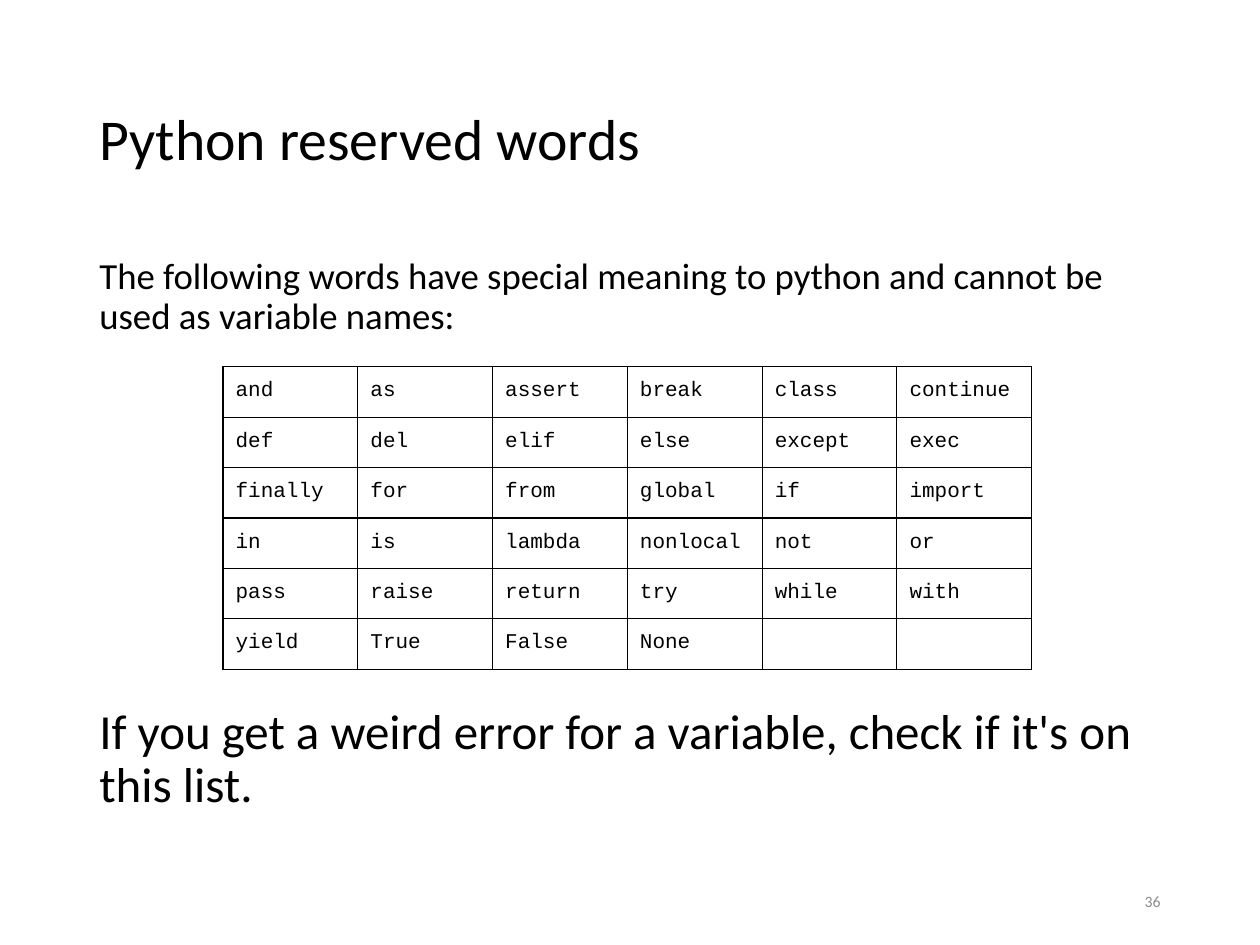
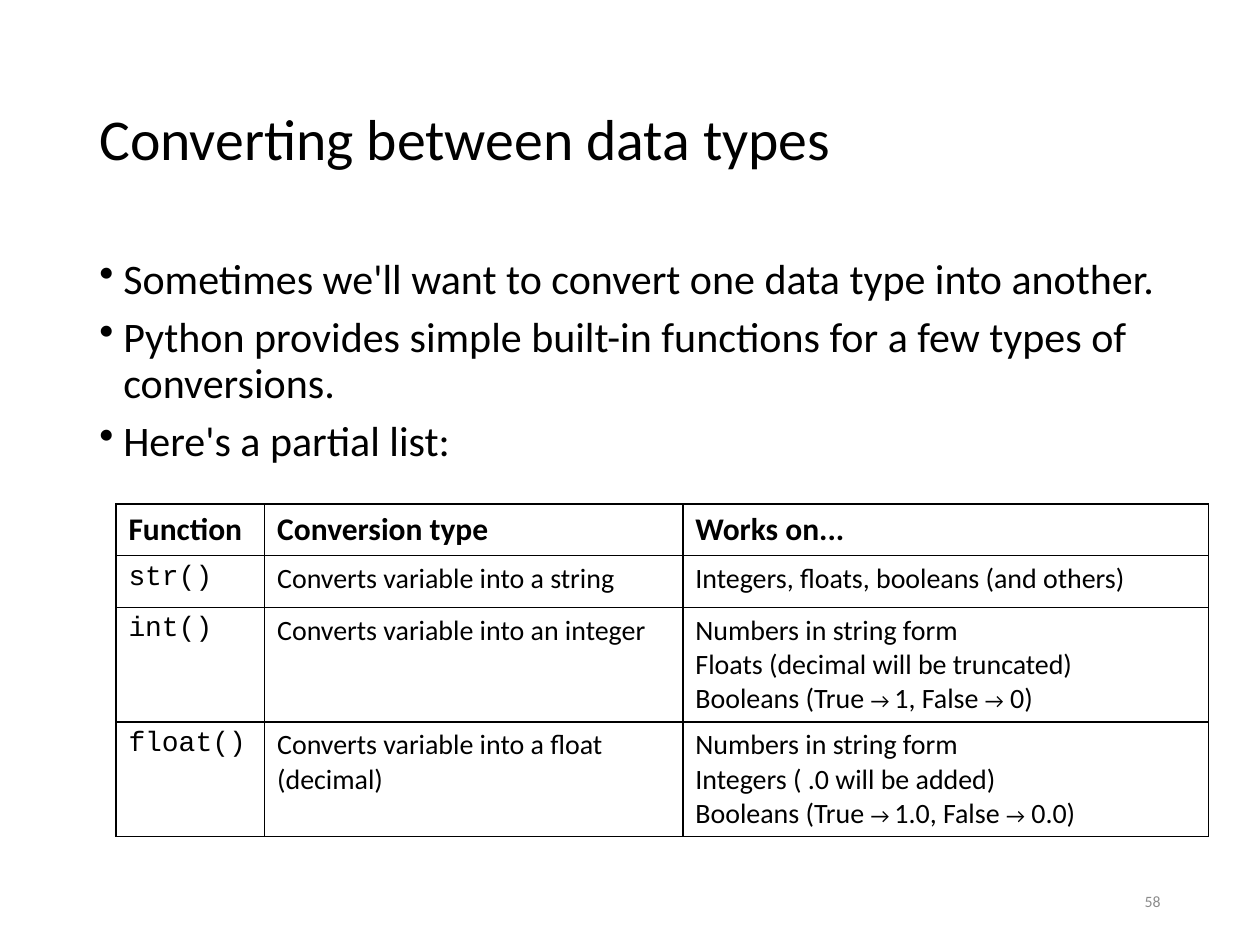
from pptx import Presentation
from pptx.dml.color import RGBColor
from pptx.enum.text import MSO_ANCHOR, PP_ALIGN
from pptx.oxml.xmlchemy import OxmlElement
from pptx.util import Inches, Pt

BLACK = RGBColor(0x00, 0x00, 0x00)
GREY = RGBColor(0x8C, 0x8C, 0x8C)
SANS = "Calibri"
MONO = "Courier New"

COLS, ROWS = 100, 75
TITLE = (6.9, 4, 86.2, 14.5)
BODY = (6.9, 20, 86.2, 47.6)
NUMBER = (70.6, 69.5, 22.5, 4)

WORDS = """and as assert break class continue
def del elif else except exec
finally for from global if import
in is lambda nonlocal not or
pass raise return try while with
yield True False None"""

CASTS = [
    ("Function", "Conversion type", "Works on..."),
    ("str()", "Converts variable into a string",
     "Integers, floats, booleans (and others)"),
    ("int()", "Converts variable into an integer",
     "Numbers in string form\nFloats (decimal will be truncated)\n"
     "Booleans (True |→ |1, False |→| 0)"),
    ("float()", "Converts variable into a float (decimal)",
     "Numbers in string form\nIntegers ( .0 will be added)\n"
     "Booleans (True |→ |1.0, False |→| 0.0)"),
]

deck = Presentation()
deck.slide_width = Inches(10)
deck.slide_height = Inches(7.5)


def across(cols):
    return round(deck.slide_width * cols / COLS)


def down(rows):
    return round(deck.slide_height * rows / ROWS)


def place(box):
    x, y, w, h = box
    return across(x), down(y), across(w), down(h)


def style(para, size, face=SANS, color=BLACK, bold=False):
    for run in para.runs:
        font = run.font
        font.size = Pt(size)
        font.name = face
        font.color.rgb = color
        font.bold = bold


def write(slide, box, text, size, color=BLACK, anchor=MSO_ANCHOR.TOP):
    frame = slide.shapes.add_textbox(*place(box)).text_frame
    frame.word_wrap = True
    frame.vertical_anchor = anchor
    frame.text = text
    for para in frame.paragraphs:
        style(para, size, color=color)
    return frame.paragraphs


def base(title, number):
    slide = deck.slides.add_slide(deck.slide_layouts[6])
    head = write(slide, TITLE, title, 33, anchor=MSO_ANCHOR.MIDDLE)[0]
    head.line_spacing = 0.9
    foot = write(slide, NUMBER, str(number), 9, GREY, MSO_ANCHOR.MIDDLE)[0]
    foot.alignment = PP_ALIGN.RIGHT
    return slide


def body(slide, text, size):
    paras = write(slide, BODY, text, size)
    for para in paras:
        para.line_spacing = 0.9
        para.space_before = Pt(7.5)
    return paras


def bullet(para):
    props = para._p.get_or_add_pPr()
    props.set("marL", str(Inches(0.19)))
    props.set("indent", str(-Inches(0.19)))
    mark = OxmlElement("a:buChar")
    mark.set("char", "•")
    props.append(mark)


def border(cell, width):
    props = cell._tc.get_or_add_tcPr()
    for side in ("a:lnL", "a:lnR", "a:lnT", "a:lnB"):
        line = OxmlElement(side)
        line.set("w", str(Pt(width)))
        fill = OxmlElement("a:solidFill")
        color = OxmlElement("a:srgbClr")
        color.set("val", str(BLACK))
        fill.append(color)
        line.append(fill)
        props.append(line)
    cell.fill.background()


def grid(slide, box, widths, heights, width):
    table = slide.shapes.add_table(len(heights), len(widths), *place(box)).table
    table.first_row = False
    table.horz_banding = False
    for col, size in zip(table.columns, widths):
        col.width = across(size)
    for row, size in zip(table.rows, heights):
        row.height = down(size)
    for cell in table.iter_cells():
        border(cell, width)
    return table


def word_grid(slide, box):
    rows = [line.split() for line in WORDS.splitlines()]
    count = len(rows[0])
    table = grid(slide, box, [box[2] / count] * count,
                 [box[3] / len(rows)] * len(rows), 0.75)
    for cell in table.iter_cells():
        cell.margin_left = cell.margin_right = across(1)
        cell.margin_top = cell.margin_bottom = down(1)
        end = cell.text_frame.paragraphs[0]._p.get_or_add_endParaRPr()
        end.set("sz", "1200")
    for r, row in enumerate(rows):
        for c, word in enumerate(row):
            cell = table.cell(r, c)
            cell.text_frame.text = word
            style(cell.text_frame.paragraphs[0], 12, MONO)


def cast_grid(slide, box):
    table = grid(slide, box, [11.8, 33.2, 41.7], [4.1, 4.1, 9.1, 9.1], 1)
    for r, row in enumerate(CASTS):
        for c, text in enumerate(row):
            frame = table.cell(r, c).text_frame
            frame.text = text
            face = MONO if r and not c else SANS
            for para in frame.paragraphs:
                first, *rest = para.text.split("|")
                para.text = first
                for part in rest:
                    para.add_run().text = part
                style(para, 16 if r else 18, face, bold=not r)
                for run in para.runs:
                    if "→" in run.text:
                        run.font.size = Pt(12)


def word_slide():
    slide = base("Python reserved words", 36)
    last = body(slide, "The following words have special meaning to python "
                "and cannot be used as variable names:\n"
                "If you get a weird error for a variable, "
                "check if it's on this list.", 21)[-1]
    style(last, 28)
    last.space_before = Pt(211)
    word_grid(slide, (17.7, 29.1, 64.2, 23.75))


def cast_slide():
    slide = base("Converting between data types", 58)
    for para in body(slide, "Sometimes we'll want to convert one data type "
                     "into another.\nPython provides simple built-in functions "
                     "for a few types of conversions.\n"
                     "Here's a partial list:", 24):
        bullet(para)
    cast_grid(slide, (9.2, 40, 86.7, 26.4))


word_slide()
cast_slide()
deck.save("out.pptx")
